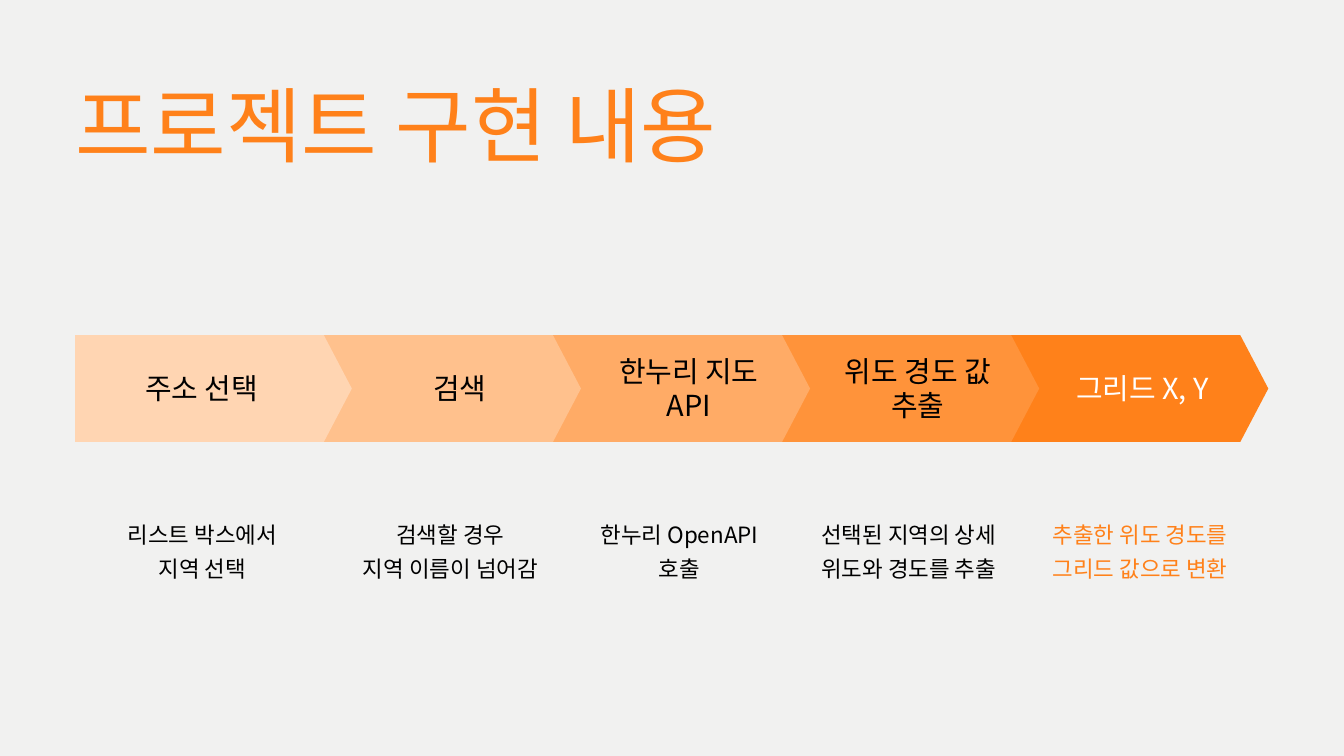
from pptx import Presentation
from pptx.dml.color import RGBColor
from pptx.enum.shapes import MSO_SHAPE
from pptx.enum.text import MSO_ANCHOR, MSO_AUTO_SIZE, PP_ALIGN
from pptx.util import Cm, Pt

PENTAGON = MSO_SHAPE.PENTAGON
TOP = MSO_ANCHOR.TOP
NO_AUTOFIT = MSO_AUTO_SIZE.NONE
LEFT, CENTER = PP_ALIGN.LEFT, PP_ALIGN.CENTER

THEME = {
    "background": "F1F1F0",
    "accent": "FF811A",
    "dark": "000000",
    "light": "FFFFFF",
    "latin": "Calibri",
    "korean": "Noto Sans CJK KR",
    "title": {"size": 88, "spacing": 105.6},
    "label": {"size": 31, "spacing": 37.2},
    "detail": {"size": 24, "spacing": 36},
}

STEPS = [
    {"fill": "FFD5B2", "label": ["주소 선택"], "label_left": 3.94,
     "detail": ["리스트 박스에서", "지역 선택"], "detail_left": 3.63, "detail_width": 8.03},
    {"fill": "FFC18D", "label": ["검색"], "label_left": 13.69,
     "detail": ["검색할 경우", "지역 이름이 넘어감"], "detail_left": 13.34},
    {"fill": "FFAB66", "label": ["한누리 지도\vAPI"], "label_left": 22.35,
     "detail": ["한누리 OpenAPI", "호출"], "detail_left": 22.0, "font": "korean"},
    {"fill": "FF933A", "label": ["위도 경도 값", "추출"], "label_left": 31.01,
     "detail": ["선택된 지역의 상세 위도와 경도를 추출"], "detail_left": 30.66},
    {"fill": THEME["accent"], "label": ["그리드 X, Y"], "label_left": 39.5,
     "detail": ["추출한 위도 경도를 그리드 값으로 변환"], "detail_left": 39.32,
     "detail_width": 7.54, "font": "korean", "label_color": "light", "detail_color": "accent"},
]

ARROW_LEFT, ARROW_TOP, ARROW_PITCH = 2.84, 12.67, 8.66
ARROW_WIDTH, ARROW_HEIGHT, ARROW_TIP = 10.46, 4.04, 1.06
TEXT_WIDTH, LABEL_LINE = 7.37, 1.34
DETAIL_TOP, DETAIL_HEIGHT = 19.46, 2.54


def write_text(shape, paragraphs, style, color, font, alignment):
    frame = shape.text_frame
    frame_format = {
        "word_wrap": True, "auto_size": NO_AUTOFIT, "vertical_anchor": TOP,
        "margin_left": 0, "margin_right": 0, "margin_top": 0, "margin_bottom": 0,
    }
    for name, value in frame_format.items():
        setattr(frame, name, value)
    frame.text = "\n".join(paragraphs)
    for paragraph in frame.paragraphs:
        paragraph_format = {
            "alignment": alignment, "line_spacing": Pt(THEME[style]["spacing"]),
            "space_before": Pt(0), "space_after": Pt(0),
        }
        for name, value in paragraph_format.items():
            setattr(paragraph, name, value)
        for run in paragraph.runs:
            run.font.name = THEME[font]
            run.font.size = Pt(THEME[style]["size"])
            run.font.color.rgb = RGBColor.from_string(THEME[color])


presentation = Presentation()
presentation.slide_width = Cm(50.8)
presentation.slide_height = Cm(28.58)
slide = presentation.slides.add_slide(presentation.slide_layouts[5])
slide.background.fill.solid()
slide.background.fill.fore_color.rgb = RGBColor.from_string(THEME["background"])

title = slide.shapes.title
title_place = {"left": 2.84, "top": 2.82, "width": 44.6, "height": 3.73}
for name, value in title_place.items():
    setattr(title, name, Cm(value))
write_text(title, ["프로젝트 구현 내용"], "title", "accent", "latin", LEFT)

for index, step in reversed(list(enumerate(STEPS))):
    arrow = slide.shapes.add_shape(
        PENTAGON, Cm(ARROW_LEFT + index * ARROW_PITCH), Cm(ARROW_TOP),
        Cm(ARROW_WIDTH), Cm(ARROW_HEIGHT))
    arrow.adjustments[0] = ARROW_TIP / ARROW_HEIGHT
    arrow.shadow.inherit = False
    arrow.fill.solid()
    arrow.fill.fore_color.rgb = RGBColor.from_string(step["fill"])
    arrow.line.fill.background()

for step in STEPS:
    detail = slide.shapes.add_textbox(
        Cm(step["detail_left"]), Cm(DETAIL_TOP),
        Cm(step.get("detail_width", TEXT_WIDTH)), Cm(DETAIL_HEIGHT))
    detail_font = "korean" if "OpenAPI" in step["detail"][0] else "latin"
    write_text(detail, step["detail"], "detail",
               step.get("detail_color", "dark"), detail_font, CENTER)

    line_count = len("\n".join(step["label"]).splitlines())
    label_height = line_count * LABEL_LINE
    label = slide.shapes.add_textbox(
        Cm(step["label_left"]), Cm(ARROW_TOP + (ARROW_HEIGHT - label_height) / 2),
        Cm(TEXT_WIDTH), Cm(label_height))
    write_text(label, step["label"], "label",
               step.get("label_color", "dark"), step.get("font", "latin"), CENTER)

presentation.save("out.pptx")
